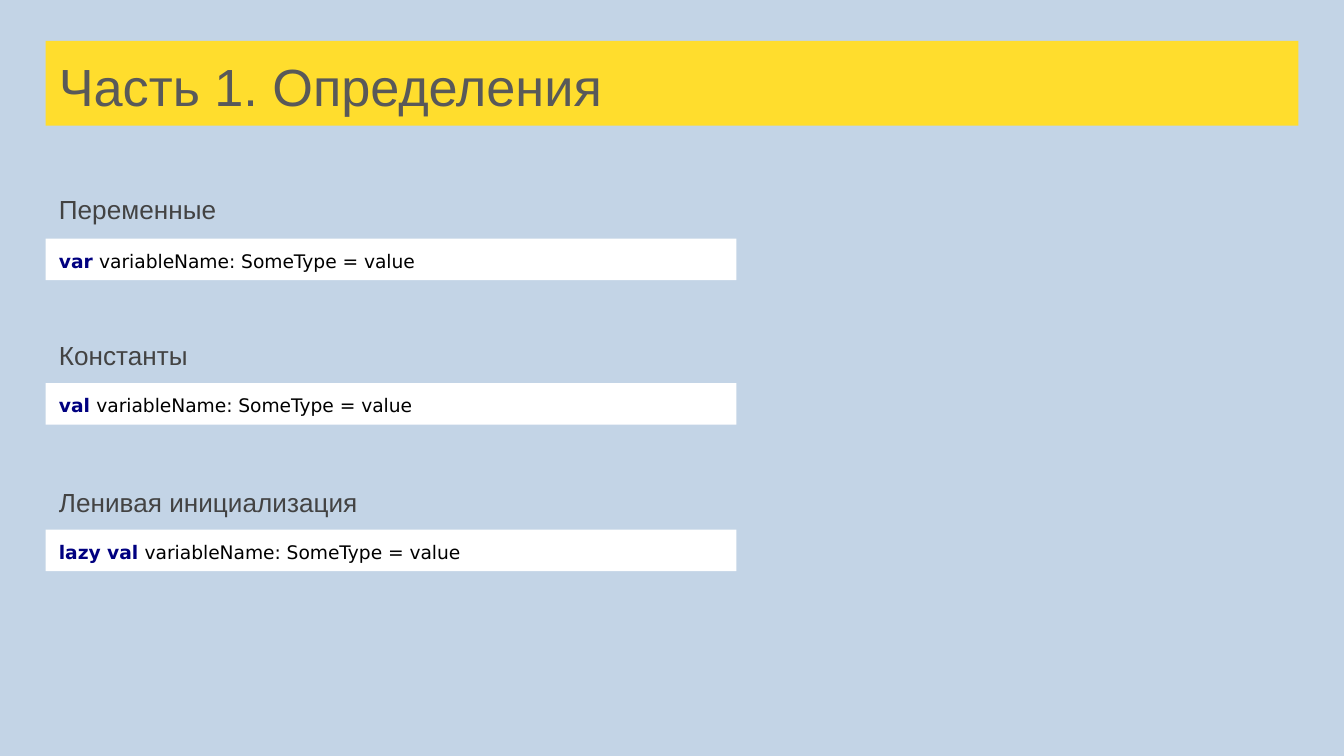
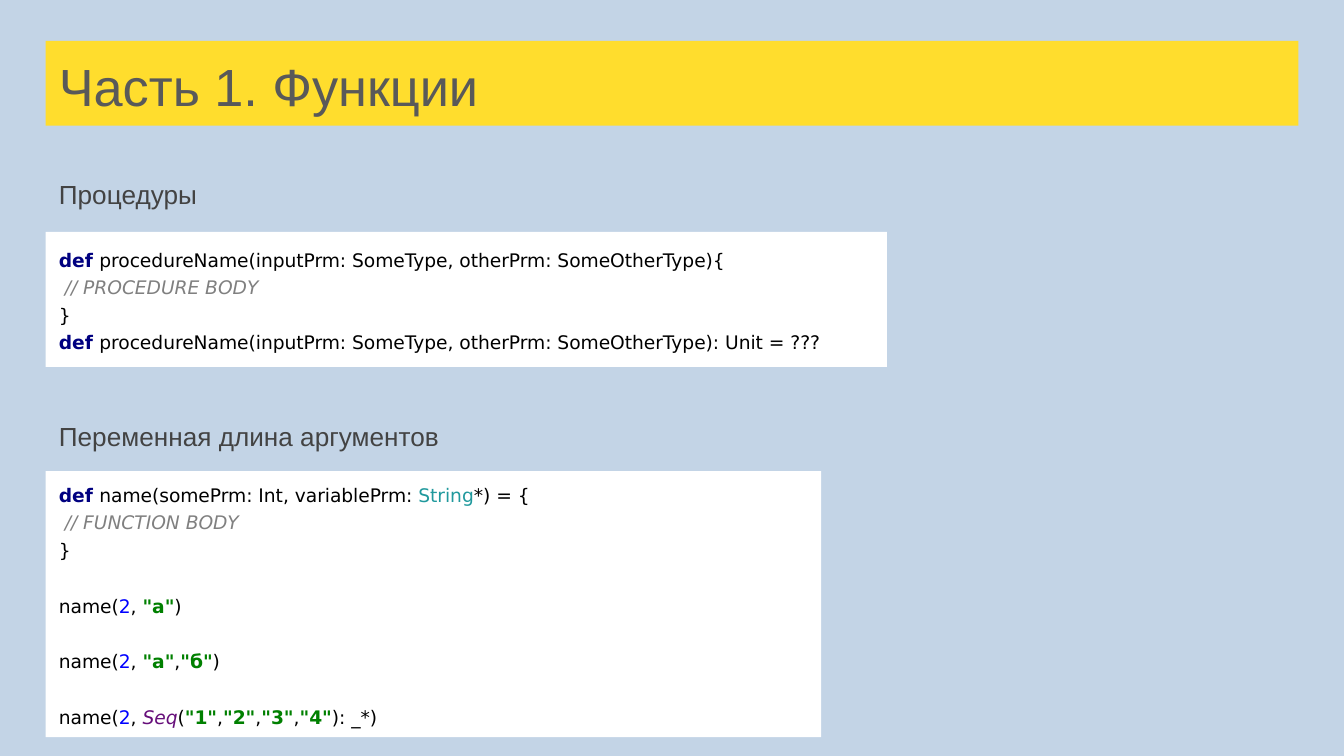
from dataclasses import dataclass
from typing import NamedTuple, Optional

from pptx import Presentation
from pptx.dml.color import RGBColor
from pptx.enum.shapes import MSO_SHAPE
from pptx.enum.text import MSO_ANCHOR, PP_ALIGN
from pptx.presentation import Presentation as Deck
from pptx.shapes.autoshape import Shape
from pptx.slide import Slide
from pptx.text.text import TextFrame
from pptx.util import Emu, Pt

EMU_PER_PX = 4572
SLIDE_WIDTH, SLIDE_HEIGHT = 2000, 1125
BLANK_LAYOUT = 6
LEFT = 68
INSET = 20
TITLE_TOP, TITLE_WIDTH, TITLE_HEIGHT = 61, 1864, 126
HEADING_WIDTH, HEADING_HEIGHT = 814, 96
LINE_SPACING = 1.15
LINE_GAP, BLANK_LINE_GAP = 1, 16

BACKGROUND = RGBColor(0xC3, 0xD4, 0xE6)
YELLOW = RGBColor(0xFF, 0xDD, 0x2D)
WHITE = RGBColor(0xFF, 0xFF, 0xFF)
BLACK = RGBColor(0x00, 0x00, 0x00)
TITLE_GRAY = RGBColor(0x59, 0x59, 0x59)
HEADING_GRAY = RGBColor(0x43, 0x43, 0x43)
COMMENT_GRAY = RGBColor(0x80, 0x80, 0x80)
NAVY = RGBColor(0x00, 0x00, 0x80)
BLUE = RGBColor(0x00, 0x00, 0xFF)
TEAL = RGBColor(0x20, 0x99, 0x9D)
GREEN = RGBColor(0x00, 0x80, 0x00)
PURPLE = RGBColor(0x66, 0x0E, 0x7A)


class Style(NamedTuple):
    """Font settings of a run."""

    color: RGBColor
    size: int = 10
    font: str = "DejaVu Sans"
    bold: bool = False
    italic: bool = False


TITLE = Style(TITLE_GRAY, 28, "Arial")
HEADING = Style(HEADING_GRAY, 14, "Arial")
PLAIN = Style(BLACK)
KEYWORD = Style(NAVY, bold=True)
COMMENT = Style(COMMENT_GRAY, italic=True)
NUMBER = Style(BLUE)
STRING = Style(GREEN, bold=True)
TYPE = Style(TEAL)
OBJECT = Style(PURPLE, italic=True)


class Run(NamedTuple):
    """A piece of text in one style."""

    text: str
    style: Style = PLAIN


class Line(NamedTuple):
    """A paragraph with the gap above it in points."""

    runs: tuple[Run, ...]
    gap: int = LINE_GAP


@dataclass(frozen=True)
class Section:
    """A heading with the code panel below it."""

    heading: str
    heading_top: int
    panel_top: int
    panel_width: int
    panel_height: int
    lines: tuple[Line, ...]


@dataclass(frozen=True)
class Page:
    """The content of one slide."""

    title: str
    sections: tuple[Section, ...]
    heading_spacing: Optional[float] = None


def px(length: int) -> Emu:
    """Turn pixels into EMU."""
    return Emu(length * EMU_PER_PX)


def definition(heading: str, heading_top: int, panel_top: int, keyword: str) -> Section:
    """Describe a one-line variable definition."""
    line = Line((Run(f"{keyword} ", KEYWORD), Run("variableName: SomeType = value")))
    return Section(heading, heading_top, panel_top, 1028, 62, (line,))


def body(kind: str) -> tuple[Line, ...]:
    """Describe a commented body and its closing brace."""
    return (
        Line((Run(" "), Run(f"// {kind} BODY", COMMENT))),
        Line((Run("}"),)),
    )


def procedure(ending: str) -> Line:
    """Describe a procedure signature with the given ending."""
    signature = "procedureName(inputPrm: SomeType, otherPrm: SomeOtherType)"
    return Line((Run("def ", KEYWORD), Run(signature + ending)))


def strings(text: str) -> tuple[Run, ...]:
    """Describe quoted characters separated by commas."""
    runs: list[Run] = []
    for character in text:
        if runs:
            runs.append(Run(","))
        runs.append(Run(f'"{character}"', STRING))
    return tuple(runs)


def call(*arguments: Run, ending: str = ")") -> Line:
    """Describe a call set apart by the height of one line."""
    opening = (Run("name("), Run("2", NUMBER), Run(", "))
    return Line((*opening, *arguments, Run(ending)), BLANK_LINE_GAP)


PAGES = (
    Page(
        "Часть 1. Определения",
        (
            definition("Переменные", 261, 355, "var"),
            definition("Константы", 478, 570, "val"),
            definition("Ленивая инициализация", 697, 788, "lazy val"),
        ),
        LINE_SPACING,
    ),
    Page(
        "Часть 1. Функции",
        (
            Section(
                "Процедуры", 245, 345, 1252, 201,
                (procedure("{"), *body("PROCEDURE"), procedure(": Unit = ???")),
            ),
            Section(
                "Переменная длина аргументов", 606, 701, 1154, 396,
                (
                    Line((
                        Run("def ", KEYWORD),
                        Run("name(somePrm: Int, variablePrm: "),
                        Run("String", TYPE),
                        Run("*) = {"),
                    )),
                    *body("FUNCTION"),
                    call(*strings("a")),
                    call(*strings("aб")),
                    call(Run("Seq", OBJECT), Run("("), *strings("1234"), ending="): _*)"),
                ),
            ),
        ),
    ),
)


def write_lines(
    frame: TextFrame,
    lines: tuple[Line, ...],
    anchor: MSO_ANCHOR = MSO_ANCHOR.TOP,
    spacing: Optional[float] = None,
) -> None:
    """Fill a text frame run by run."""
    frame.word_wrap = True
    frame.vertical_anchor = anchor
    frame.margin_left = frame.margin_right = px(INSET)
    frame.margin_top = frame.margin_bottom = px(INSET)
    for index, line in enumerate(lines):
        paragraph = frame.add_paragraph() if index else frame.paragraphs[0]
        paragraph.alignment = PP_ALIGN.LEFT
        paragraph.line_spacing = spacing
        paragraph.space_before = Pt(line.gap if index else 0)
        for text, style in line.runs:
            run = paragraph.add_run()
            run.text = text
            run.font.name = style.font
            run.font.size = Pt(style.size)
            run.font.bold = style.bold
            run.font.italic = style.italic
            run.font.color.rgb = style.color


def add_panel(slide: Slide, top: int, width: int, height: int, color: RGBColor) -> Shape:
    """Add a filled rectangle at the left margin."""
    shape = slide.shapes.add_shape(
        MSO_SHAPE.RECTANGLE, px(LEFT), px(top), px(width), px(height)
    )
    shape.shadow.inherit = False
    shape.fill.solid()
    shape.fill.fore_color.rgb = color
    shape.line.fill.background()
    return shape


def add_section(slide: Slide, section: Section, spacing: Optional[float]) -> None:
    """Add a heading and its code panel."""
    heading = slide.shapes.add_textbox(
        px(LEFT), px(section.heading_top), px(HEADING_WIDTH), px(HEADING_HEIGHT)
    )
    write_lines(
        heading.text_frame, (Line((Run(section.heading, HEADING),)),), spacing=spacing
    )
    panel = add_panel(
        slide, section.panel_top, section.panel_width, section.panel_height, WHITE
    )
    write_lines(panel.text_frame, section.lines, MSO_ANCHOR.MIDDLE, LINE_SPACING)


def add_page(presentation: Deck, page: Page) -> None:
    """Add a slide with its title band and sections."""
    slide = presentation.slides.add_slide(presentation.slide_layouts[BLANK_LAYOUT])
    slide.background.fill.solid()
    slide.background.fill.fore_color.rgb = BACKGROUND
    band = add_panel(slide, TITLE_TOP, TITLE_WIDTH, TITLE_HEIGHT, YELLOW)
    write_lines(band.text_frame, (Line((Run(page.title, TITLE),)),))
    for section in page.sections:
        add_section(slide, section, page.heading_spacing)


def main() -> None:
    """Build and save the presentation."""
    presentation = Presentation()
    presentation.slide_width = px(SLIDE_WIDTH)
    presentation.slide_height = px(SLIDE_HEIGHT)
    for page in PAGES:
        add_page(presentation, page)
    presentation.save("out.pptx")


if __name__ == "__main__":
    main()
